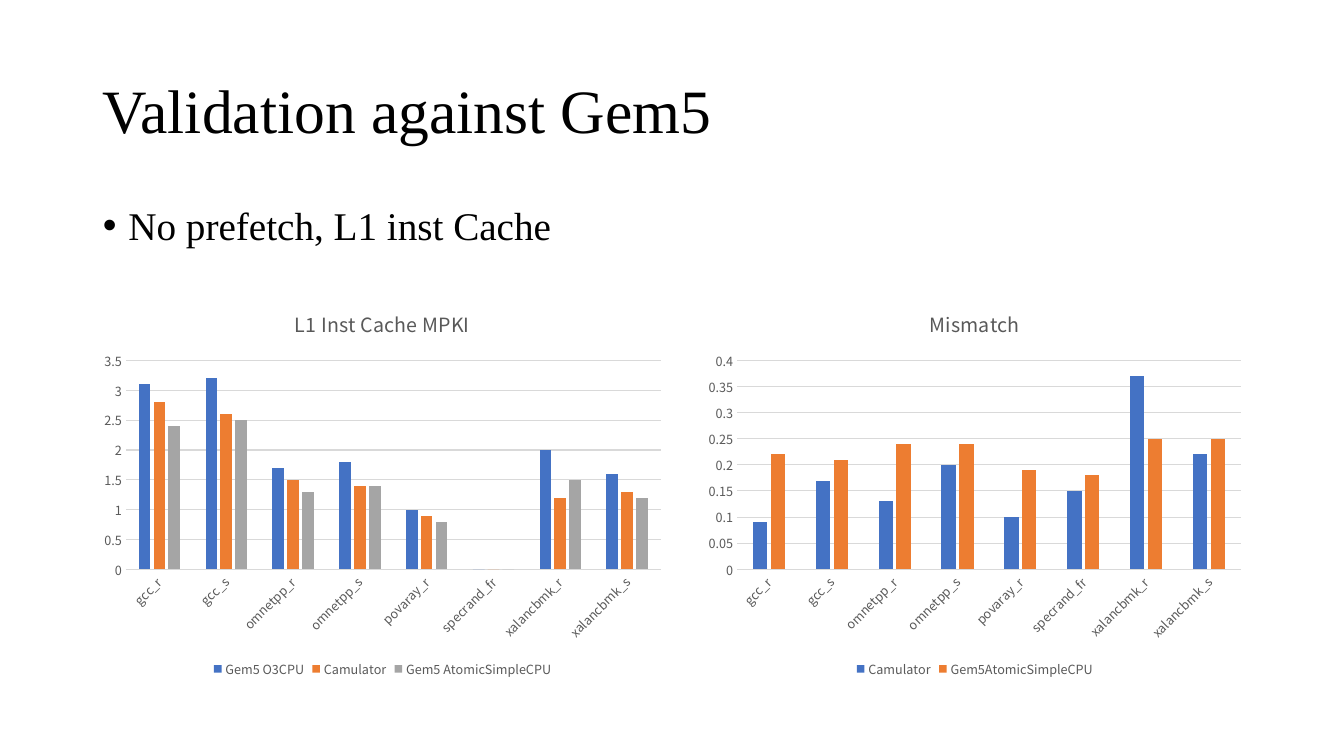
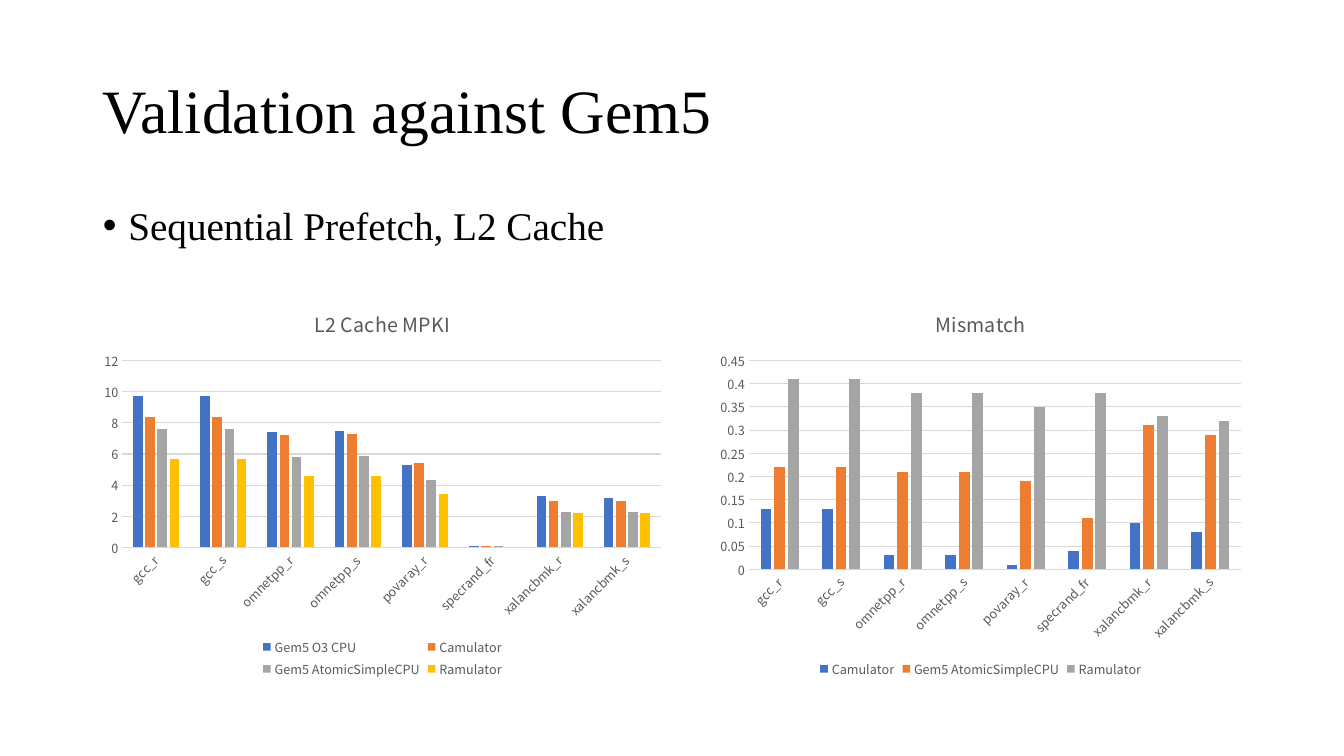
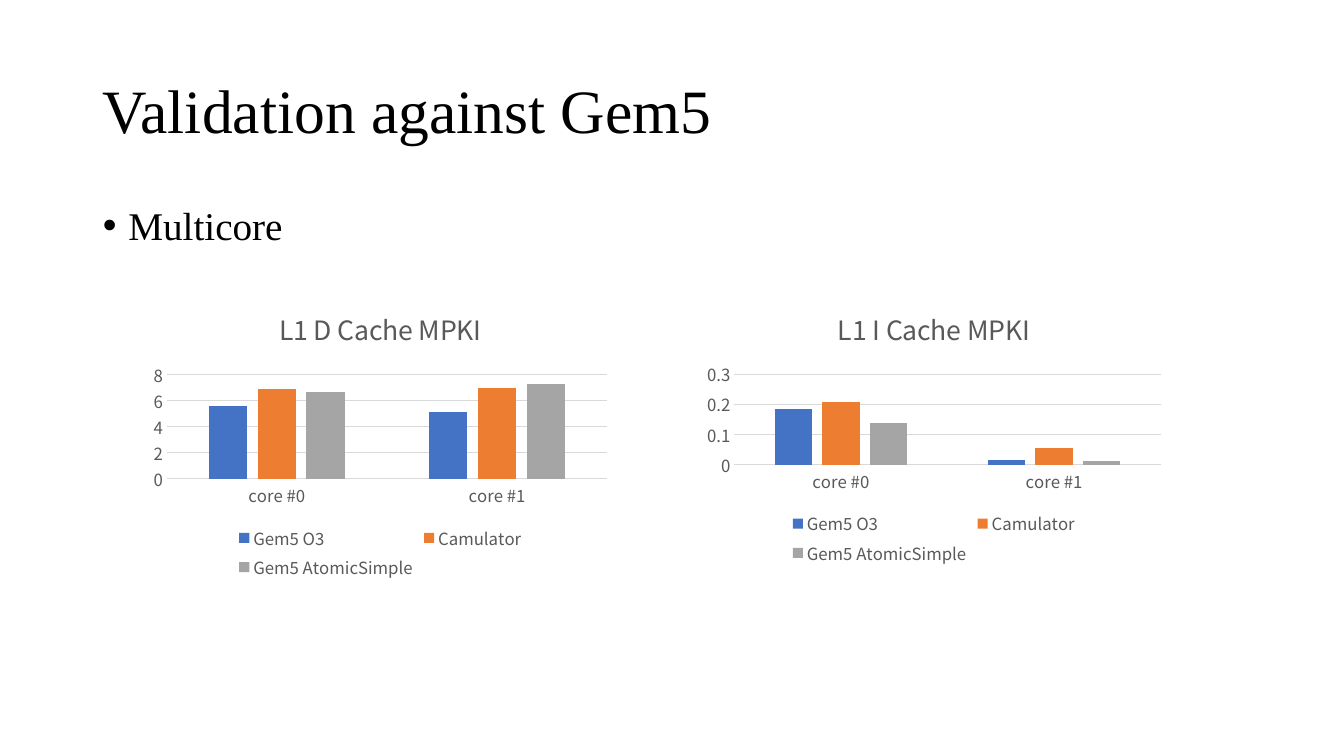
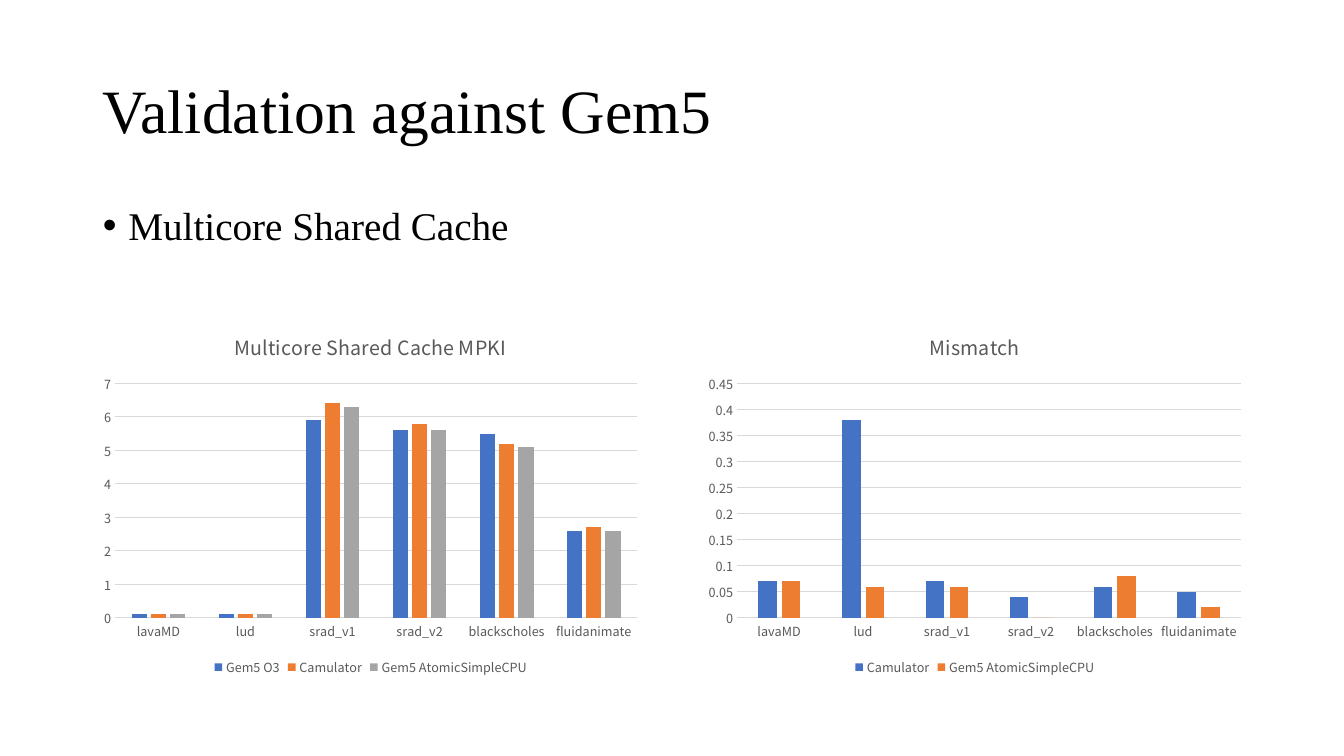
from dataclasses import dataclass

from pptx import Presentation
from pptx import util as u
from pptx.chart.data import CategoryChartData
from pptx.dml.color import RGBColor
from pptx.enum import chart as ch, text
from pptx.oxml import parse_xml
from pptx.oxml.ns import nsdecls


@dataclass(frozen=True)
class Theme:
    ink: str = "000000"
    muted: str = "595959"
    rule: str = "D9D9D9"
    series: tuple = ("4472C4", "ED7D31", "A5A5A5", "FFC000")
    text_font: str = "Times New Roman"
    chart_font: str = "Noto Sans CJK SC"
    title_size: float = 44
    body_size: float = 28
    label_size: float = 9
    large_label_size: float = 12
    chart_title_ratio: float = 1.55
    rule_width: float = 0.75


T = Theme()
TITLE = "Validation against Gem5"
TITLE_BOX = (2.34, 1.02, 29.21, 3.68)
BODY_BOX = (2.34, 5.08, 29.21, 12.09)
SPEC = ("gcc_r", "gcc_s", "omnetpp_r", "omnetpp_s", "povaray_r", "specrand_fr",
        "xalancbmk_r", "xalancbmk_s")
CORES = ("core #0", "core #1")
PARALLEL = ("lavaMD", "lud", "srad_v1", "srad_v2", "blackscholes", "fluidanimate")


def apply(obj, values):
    for name, value in values.items():
        setattr(obj, name, value)


def set_font(font, name, size, color):
    apply(font, {"name": name, "size": u.Pt(size), "bold": False})
    font.color.rgb = RGBColor.from_string(color)


def set_rule(line):
    line.color.rgb = RGBColor.from_string(T.rule)
    line.width = u.Pt(T.rule_width)


def fill_placeholder(sp, box, words, size, anchor):
    apply(sp, dict(zip(("left", "top", "width", "height"), map(u.Cm, box))))
    tf = sp.text_frame
    apply(tf, {"word_wrap": True, "vertical_anchor": anchor,
               "auto_size": text.MSO_AUTO_SIZE.NONE})
    p = tf.paragraphs[0]
    apply(p, {"alignment": text.PP_ALIGN.LEFT, "line_spacing": 0.9,
              "space_before": u.Pt(0)})
    r = p.add_run()
    r.text = words
    set_font(r.font, T.text_font, size, T.ink)
    return p


def add_bullet(p):
    pPr = p._p.get_or_add_pPr()
    pPr.set("marL", str(u.Cm(0.64)))
    pPr.set("indent", str(-u.Cm(0.64)))
    pPr.append(parse_xml(f'<a:buFont {nsdecls("a")} typeface="Arial"/>'))
    pPr.append(parse_xml(f'<a:buChar {nsdecls("a")} char="•"/>'))


def add_slide(prs, topic):
    s = prs.slides.add_slide(prs.slide_layouts[1])
    fill_placeholder(s.shapes.title, TITLE_BOX, TITLE, T.title_size,
                     text.MSO_ANCHOR.MIDDLE)
    add_bullet(fill_placeholder(s.placeholders[1], BODY_BOX, topic, T.body_size,
                                text.MSO_ANCHOR.TOP))
    return s


def format_axes(chart, top, step, size, tilted):
    cat, val = chart.category_axis, chart.value_axis
    for axis in (cat, val):
        apply(axis, {"major_tick_mark": ch.XL_TICK_MARK.NONE,
                     "minor_tick_mark": ch.XL_TICK_MARK.NONE})
        set_font(axis.tick_labels.font, T.chart_font, size, T.muted)
    apply(val, {"minimum_scale": 0, "maximum_scale": top, "major_unit": step,
                "has_major_gridlines": True})
    set_rule(val.major_gridlines.format.line)
    set_rule(cat.format.line)
    val.format.line.fill.background()
    if tilted:
        cat._element.txPr.bodyPr.set("rot", "-2700000")


def add_columns(s, box, title, cats, series, top, step, size=T.label_size, tilted=False):
    data = CategoryChartData()
    data.categories = cats
    for name, values in series.items():
        data.add_series(name, values)
    chart = s.shapes.add_chart(ch.XL_CHART_TYPE.COLUMN_CLUSTERED, *map(u.Cm, box),
                               data).chart
    set_font(chart.font, T.chart_font, 10, T.ink)
    apply(chart, {"has_title": True, "has_legend": True})
    p = chart.chart_title.text_frame.paragraphs[0]
    r = p.add_run()
    r.text = title
    set_font(r.font, T.chart_font, round(size * T.chart_title_ratio), T.muted)
    apply(chart.legend, {"position": ch.XL_LEGEND_POSITION.BOTTOM,
                         "include_in_layout": False})
    set_font(chart.legend.font, T.chart_font, size, T.muted)
    plot = chart.plots[0]
    apply(plot, {"gap_width": 219, "overlap": -27, "vary_by_categories": False})
    for ser, color in zip(plot.series, T.series):
        ser.format.fill.solid()
        ser.format.fill.fore_color.rgb = RGBColor.from_string(color)
    format_axes(chart, top, step, size, tilted)


def main():
    prs = Presentation()
    apply(prs, {"slide_width": u.Cm(33.87), "slide_height": u.Cm(19.05)})

    s = add_slide(prs, "No prefetch, L1 inst Cache")
    add_columns(s, (2.34, 7.32, 14.6, 9.86), "L1 Inst Cache MPKI", SPEC, {
        "Gem5 O3CPU": (3.1, 3.2, 1.7, 1.8, 1, 0, 2, 1.6),
        "Camulator": (2.8, 2.6, 1.5, 1.4, 0.9, 0, 1.2, 1.3),
        "Gem5 AtomicSimpleCPU": (2.4, 2.5, 1.3, 1.4, 0.8, 0, 1.5, 1.2),
    }, 3.5, 0.5, tilted=True)
    add_columns(s, (17.58, 7.32, 13.97, 9.86), "Mismatch", SPEC, {
        "Camulator": (0.09, 0.17, 0.13, 0.2, 0.1, 0.15, 0.37, 0.22),
        "Gem5AtomicSimpleCPU": (0.22, 0.21, 0.24, 0.24, 0.19, 0.18, 0.25, 0.25),
    }, 0.4, 0.05, tilted=True)

    s = add_slide(prs, "Sequential Prefetch, L2 Cache")
    add_columns(s, (2.34, 7.32, 14.6, 9.86), "L2 Cache MPKI", SPEC, {
        "Gem5 O3 CPU": (9.7, 9.7, 7.4, 7.5, 5.3, 0.1, 3.3, 3.2),
        "Camulator": (8.4, 8.4, 7.2, 7.3, 5.4, 0.1, 3, 3),
        "Gem5 AtomicSimpleCPU": (7.6, 7.6, 5.8, 5.9, 4.3, 0.1, 2.3, 2.3),
        "Ramulator": (5.7, 5.7, 4.6, 4.6, 3.4, 0, 2.2, 2.2),
    }, 12, 2, tilted=True)
    add_columns(s, (17.88, 7.32, 13.67, 9.86), "Mismatch", SPEC, {
        "Camulator": (0.13, 0.13, 0.03, 0.03, 0.01, 0.04, 0.1, 0.08),
        "Gem5 AtomicSimpleCPU": (0.22, 0.22, 0.21, 0.21, 0.19, 0.11, 0.31, 0.29),
        "Ramulator": (0.41, 0.41, 0.38, 0.38, 0.35, 0.38, 0.33, 0.32),
    }, 0.45, 0.05, tilted=True)

    s = add_slide(prs, "Multicore")
    add_columns(s, (3.63, 7.34, 11.91, 7.37), "L1 D Cache MPKI", CORES, {
        "Gem5 O3": (5.6, 5.1),
        "Camulator": (6.9, 7),
        "Gem5 AtomicSimple": (6.7, 7.3),
    }, 8, 2, T.large_label_size)
    add_columns(s, (17.58, 7.34, 11.91, 7.01), "L1 I Cache MPKI", CORES, {
        "Gem5 O3": (0.184, 0.016),
        "Camulator": (0.208, 0.057),
        "Gem5 AtomicSimple": (0.138, 0.013),
    }, 0.3, 0.1, T.large_label_size)

    s = add_slide(prs, "Multicore Shared Cache")
    add_columns(s, (2.34, 7.92, 14, 9.22), "Multicore Shared Cache MPKI", PARALLEL, {
        "Gem5 O3": (0.1, 0.1, 5.9, 5.6, 5.5, 2.6),
        "Camulator": (0.1, 0.1, 6.4, 5.8, 5.2, 2.7),
        "Gem5 AtomicSimpleCPU": (0.1, 0.1, 6.3, 5.6, 5.1, 2.6),
    }, 7, 1)
    add_columns(s, (17.58, 7.92, 13.97, 9.22), "Mismatch", PARALLEL, {
        "Camulator": (0.07, 0.38, 0.07, 0.04, 0.06, 0.05),
        "Gem5 AtomicSimpleCPU": (0.07, 0.06, 0.06, 0, 0.08, 0.02),
    }, 0.45, 0.05)

    prs.save("out.pptx")


if __name__ == "__main__":
    main()
